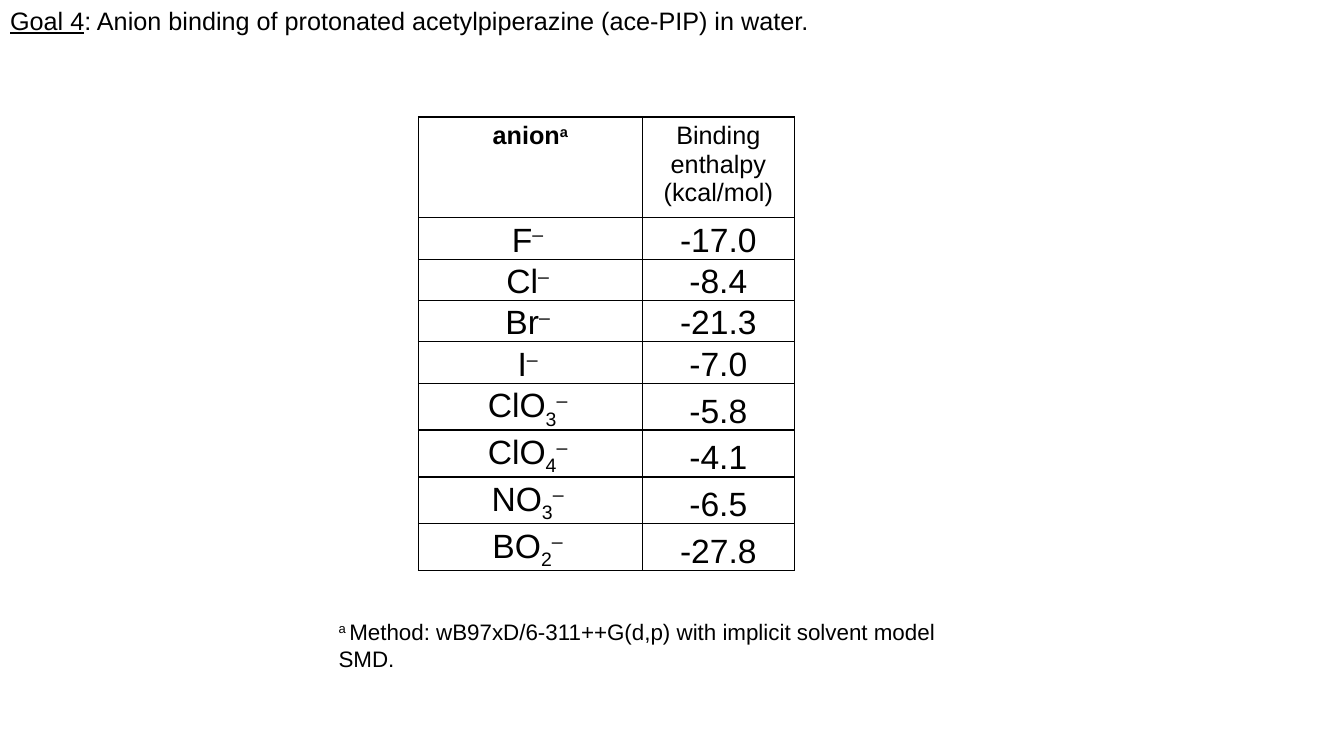
from lxml.etree import SubElement
from pptx import Presentation
from pptx.dml.color import RGBColor
from pptx.enum.text import MSO_ANCHOR, MSO_AUTO_SIZE, PP_ALIGN
from pptx.oxml.ns import qn
from pptx.util import Inches, Pt

BLACK = "000000"
SUPERSCRIPT, SUBSCRIPT = 30000, -25000


def add_runs(paragraph, parts, size, alignment=PP_ALIGN.LEFT):
    """Write (text, baseline) parts into a paragraph and return the runs."""
    paragraph.alignment = alignment
    for text, baseline in parts:
        run = paragraph.add_run()
        run.text = text
        run.font.name = "Arial"
        run.font.size = Pt(size)
        run.font.color.rgb = RGBColor.from_string(BLACK)
        if baseline:
            run.font._element.set("baseline", str(baseline))
    return paragraph.runs


def add_borders(cell):
    """Draw a thin black line on every side of a cell."""
    properties = cell._tc.get_or_add_tcPr()
    for side in ("lnL", "lnR", "lnT", "lnB"):
        line = SubElement(properties, qn(f"a:{side}"), w=str(Pt(1)))
        fill = SubElement(line, qn("a:solidFill"))
        SubElement(fill, qn("a:srgbClr"), val=BLACK)


presentation = Presentation()
presentation.slide_width = Inches(13.33)
presentation.slide_height = Inches(7.5)
slide = presentation.slides.add_slide(presentation.slide_layouts[5])

# Title
title = slide.shapes.title
title.left, title.top = Inches(0), Inches(0)
title.width, title.height = Inches(8.81), Inches(0.4)
title_frame = title.text_frame
title_frame.word_wrap = True
title_frame.auto_size = MSO_AUTO_SIZE.SHAPE_TO_FIT_TEXT
title_frame.vertical_anchor = MSO_ANCHOR.TOP
title_runs = add_runs(title_frame.paragraphs[0], [
    ("Goal 4", 0),
    (": Anion binding of protonated acetylpiperazine (ace-PIP) in water.", 0),
], 18)
title_runs[0].font.underline = True

# Binding enthalpies: element symbols, atom count, value
anions = [
    ("F", "", "-17.0"),
    ("Cl", "", "-8.4"),
    ("Br", "", "-21.3"),
    ("I", "", "-7.0"),
    ("ClO", "3", "-5.8"),
    ("ClO", "4", "-4.1"),
    ("NO", "3", "-6.5"),
    ("BO", "2", "-27.8"),
]
rows = [([("anion", 0), ("a", SUPERSCRIPT)], [("Binding enthalpy (kcal/mol)", 0)])]
for symbols, count, enthalpy in anions:
    formula = [(symbols, 0), (count, SUBSCRIPT), ("– ", SUPERSCRIPT)]
    rows.append(([part for part in formula if part[0]], [(enthalpy, 0)]))

# Table
row_height = Inches(0.41)
table = slide.shapes.add_table(
    len(rows), 2, Inches(4.15), Inches(1.16), Inches(3.73), row_height * len(rows)
).table
table.first_row = table.horz_banding = False
for column, width in zip(table.columns, (2.22, 1.51)):
    column.width = Inches(width)
for row_index, row in enumerate(rows):
    table.rows[row_index].height = row_height
    for column_index, parts in enumerate(row):
        cell = table.cell(row_index, column_index)
        is_header = row_index == 0
        runs = add_runs(cell.text_frame.paragraphs[0], parts,
                        18 if is_header else 24, PP_ALIGN.CENTER)
        for run in runs:
            run.font.bold = is_header and column_index == 0
        if not is_header:
            cell.vertical_anchor = MSO_ANCHOR.BOTTOM
            cell.margin_left = cell.margin_right = cell.margin_top = Inches(0.01)
            cell.margin_bottom = 0
        add_borders(cell)
        cell.fill.background()

# Footnote on the method
footnote = slide.shapes.add_textbox(Inches(3.26), Inches(6.08), Inches(6.14), Inches(0.64))
footnote.text_frame.word_wrap = True
footnote.text_frame.auto_size = MSO_AUTO_SIZE.SHAPE_TO_FIT_TEXT
add_runs(footnote.text_frame.paragraphs[0], [
    ("a ", SUPERSCRIPT),
    ("Method: wB97xD/6-311++G(d,p) with implicit solvent model SMD.", 0),
], 16)

presentation.save("out.pptx")
